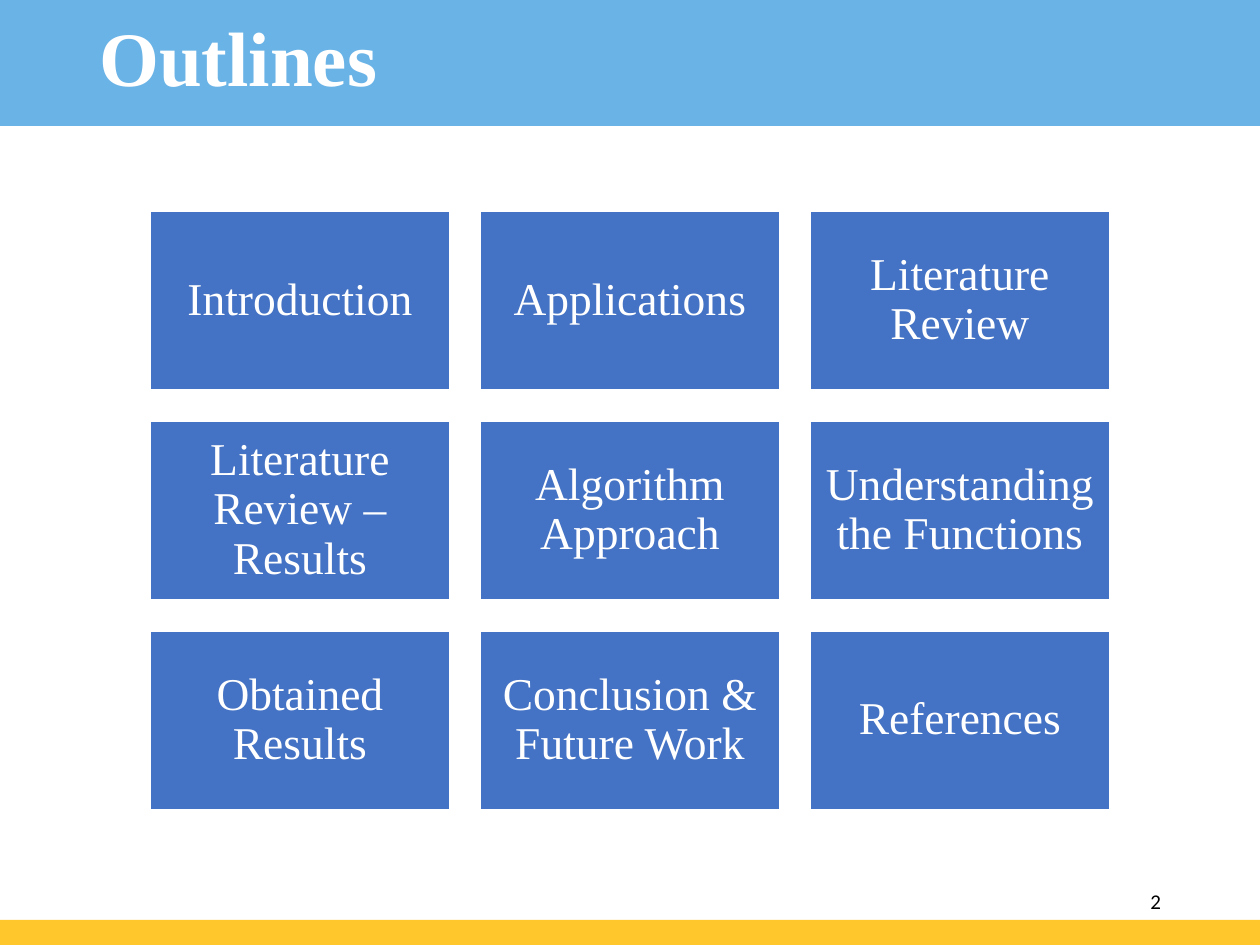
"""Build the outline slide: a banner title over a three-column grid of topics."""
from dataclasses import dataclass

from pptx import Presentation
from pptx.dml.color import RGBColor
from pptx.enum.shapes import MSO_SHAPE
from pptx.enum.text import MSO_ANCHOR, MSO_AUTO_SIZE, PP_ALIGN
from pptx.util import Pt

RECT = MSO_SHAPE.RECTANGLE
MIDDLE = MSO_ANCHOR.MIDDLE
NO_FIT = MSO_AUTO_SIZE.NONE
LEFT, CENTER, RIGHT = PP_ALIGN.LEFT, PP_ALIGN.CENTER, PP_ALIGN.RIGHT

WIDTH, HEIGHT = 720, 540
COLUMNS = 3
TILE_W = 171.4
TILE_H = TILE_W * 0.6
GAP = TILE_W * 0.1
GRID_LEFT = (WIDTH - COLUMNS * TILE_W - (COLUMNS - 1) * GAP) / 2
GRID_TOP = 120.2
TOPICS = [
    "Introduction", "Applications", "Literature Review",
    "Literature Review – Results", "Algorithm Approach", "Understanding the Functions",
    "Obtained Results", "Conclusion & Future Work", "References",
]


@dataclass(frozen=True)
class Theme:
    banner: str = "69B3E7"
    footer: str = "FFC72C"
    tile: str = "4472C4"
    light: str = "FFFFFF"
    dark: str = "000000"
    serif: str = "Times New Roman"
    sans: str = "Calibri"
    title_size: float = 44
    tile_size: float = 26
    number_size: float = 12


class Deck:
    def __init__(self, slide, theme):
        self.s, self.theme = slide, theme

    def place(self, sp, box):
        for name, value in zip(("left", "top", "width", "height"), box):
            setattr(sp, name, Pt(value))

    def set_text(self, sp, text, font, color, align, spacing=1.0, after=6, inset=None):
        tf = sp.text_frame
        frame = {"word_wrap": True, "auto_size": NO_FIT, "vertical_anchor": MIDDLE}
        if inset is not None:
            sides = ("left", "top", "right", "bottom")
            frame.update({f"margin_{side}": Pt(inset) for side in sides})
        p = tf.paragraphs[0]
        r = p.add_run()
        r.text = text
        para = {"alignment": align, "line_spacing": spacing,
                "space_before": Pt(0), "space_after": Pt(after)}
        for target, values in ((tf, frame), (p, para), (r.font, font)):
            for name, value in values.items():
                setattr(target, name, value)
        r.font.color.rgb = RGBColor.from_string(color)

    def rect(self, box, fill, line=None):
        sp = self.s.shapes.add_shape(RECT, *map(Pt, box))
        sp.shadow.inherit = False
        sp.fill.solid()
        sp.fill.fore_color.rgb = RGBColor.from_string(fill)
        if line:
            sp.line.color.rgb = RGBColor.from_string(line)
            sp.line.width = Pt(1.5)
        else:
            sp.line.fill.background()
        return sp

    def title(self, text, box):
        t, sp = self.theme, self.s.shapes.title
        self.place(sp, box)
        sp.element.getparent().append(sp.element)
        font = {"name": t.serif, "size": Pt(t.title_size), "bold": True}
        self.set_text(sp, text, font, t.light, LEFT, spacing=0.9)

    def tile(self, text, box):
        t = self.theme
        sp = self.rect(box, t.tile, t.light)
        font = {"name": t.serif, "size": Pt(t.tile_size)}
        self.set_text(sp, text, font, t.light, CENTER, spacing=0.9, after=9.1, inset=7.8)

    def number(self, text, box):
        t = self.theme
        sp = self.s.shapes.add_textbox(*map(Pt, box))
        font = {"name": t.sans, "size": Pt(t.number_size)}
        self.set_text(sp, text, font, t.dark, RIGHT)


def main():
    prs = Presentation()
    prs.slide_width, prs.slide_height = Pt(WIDTH), Pt(HEIGHT)
    theme = Theme()
    deck = Deck(prs.slides.add_slide(prs.slide_layouts[5]), theme)

    deck.rect((0, 0, WIDTH, 72), theme.banner)
    deck.rect((0, 525.6, WIDTH, 14.4), theme.footer)
    deck.number("2", (508.5, 500.4, 162, 28.8))
    deck.title("Outlines", (49.5, -131, 621, 332.6))
    for i, topic in enumerate(TOPICS):
        row, col = divmod(i, COLUMNS)
        left = GRID_LEFT + col * (TILE_W + GAP)
        top = GRID_TOP + row * (TILE_H + GAP)
        deck.tile(topic, (left, top, TILE_W, TILE_H))

    prs.save("out.pptx")


if __name__ == "__main__":
    main()
